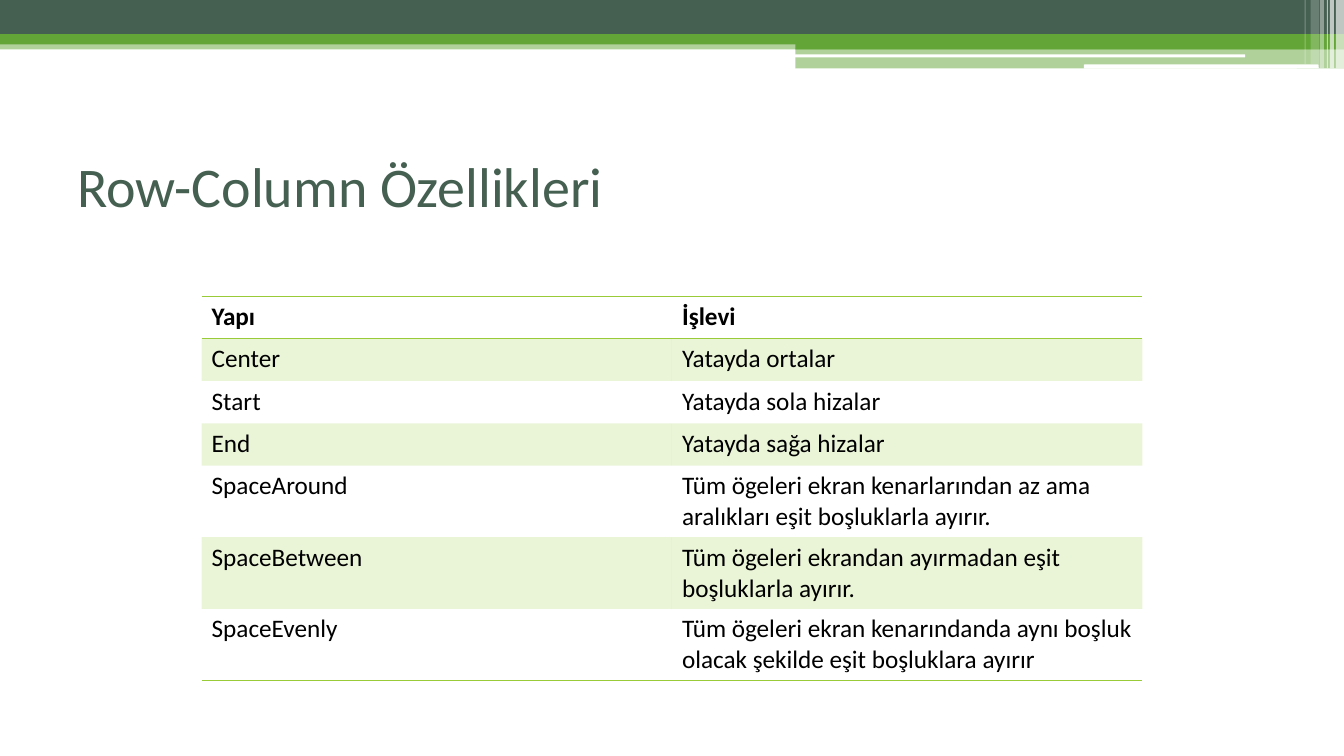
from lxml import etree
from pptx import Presentation
from pptx import util as u
from pptx.dml.color import RGBColor
from pptx.enum import shapes, text
from pptx.oxml import ns

WIDTH, HEIGHT = 13.33, 7.5
FONT = "Calibri"
COLORS = {"dark": "455F51", "green": "63A537", "lime": "99CB38",
          "white": "FFFFFF", "black": "000000"}
NO_STYLE = "{2D5ABB26-0587-4C30-8999-92F81FD0307C}"

# left, top, width, height, colour, opacity in percent
BANDS = [
    (0, 0.4, WIDTH, 0.09, "green", 50),
    (0, 0, WIDTH, 0.34, "dark", 100),
    (0, 0.34, WIDTH, 0.1, "green", 100),
    (7.89, 0.39, 5.44, 0.1, "green", 100),
    (7.89, 0.48, 5.44, 0.2, "green", 50),
]
SLOTS = [
    (7.88, 0.54, 4.47, 0.03, "white", 100),
    (10.75, 0.64, 2.33, 0.04, "white", 100),
]
# left, width, height, opacity in percent
STRIPES = [
    (13.25, 0.08, 0.68, 65), (13.19, 0.04, 0.68, 65), (13.16, 0.01, 0.68, 60),
    (13.09, 0.04, 0.68, 40), (13, 0.08, 0.64, 20), (12.94, 0.01, 0.64, 30),
]
ROWS = [
    ("Yapı", "İşlevi"),
    ("Center", "Yatayda ortalar"),
    ("Start", "Yatayda sola hizalar"),
    ("End", "Yatayda sağa hizalar"),
    ("SpaceAround", "Tüm ögeleri ekran kenarlarından az ama aralıkları eşit "
                    "boşluklarla ayırır."),
    ("SpaceBetween", "Tüm ögeleri ekrandan ayırmadan eşit boşluklarla ayırır."),
    ("SpaceEvenly", "Tüm ögeleri ekran kenarındanda aynı boşluk olacak şekilde "
                    "eşit boşluklara ayırır"),
]


def rgb(name):
    return RGBColor.from_string(COLORS[name])


def paint(fill, element, color, opacity):
    """Fill a shape or cell; its first RGB element then takes the opacity."""
    fill.solid()
    fill.fore_color.rgb = rgb(color)
    if opacity < 100:
        tint = element.find(".//" + ns.qn("a:srgbClr"))
        etree.SubElement(tint, ns.qn("a:alpha"), val=str(opacity * 1000))


def add_block(page, kind, left, top, width, height, color, opacity):
    block = page.shapes.add_shape(kind, *map(u.Inches, (left, top, width, height)))
    block.shadow.inherit = False
    block.line.fill.background()
    paint(block.fill, block.element, color, opacity)


def add_header(page):
    rect = shapes.MSO_SHAPE.RECTANGLE
    for band in BANDS:
        add_block(page, rect, *band)
    for slot in SLOTS:
        add_block(page, shapes.MSO_SHAPE.ROUNDED_RECTANGLE, *slot)
    for left, width, height, opacity in STRIPES:
        add_block(page, rect, left, 0, width, height, "white", opacity)


def add_span(para, words, size, color, bold=False):
    span = para.add_run()
    span.text = words
    span.font.name = FONT
    span.font.size = u.Pt(size)
    span.font.bold = bold
    span.font.color.rgb = rgb(color)


def set_title(page, words):
    box = page.shapes.title
    box.left, box.top = u.Inches(WIDTH * 0.05), u.Inches(HEIGHT / 6)
    box.width, box.height = u.Inches(WIDTH * 0.9), u.Inches(1.17)
    frame = box.text_frame
    frame.word_wrap = True
    frame.auto_size = text.MSO_AUTO_SIZE.NONE
    frame.vertical_anchor = text.MSO_ANCHOR.MIDDLE
    para = frame.paragraphs[0]
    para.alignment = text.PP_ALIGN.LEFT
    add_span(para, words, 40, "dark")


def add_rules(cell, sides):
    """Draw lime borders; lines must precede the fill in the cell properties."""
    props = cell._tc.get_or_add_tcPr()
    for place, side in enumerate(sides):
        line = etree.Element(ns.qn("a:ln" + side), w=str(u.Pt(1)))
        solid = etree.SubElement(line, ns.qn("a:solidFill"))
        etree.SubElement(solid, ns.qn("a:srgbClr"), val=COLORS["lime"])
        props.insert(place, line)


def add_property_table(page):
    frame = page.shapes.add_table(
        len(ROWS), 2, u.Inches(WIDTH * 0.15), u.Inches(2.94),
        u.Inches(WIDTH * 0.7), u.Inches(0.42 * len(ROWS)))
    table = frame.table
    frame.element.find(".//" + ns.qn("a:tableStyleId")).text = NO_STYLE
    last = len(ROWS) - 1
    for r, row in enumerate(ROWS):
        for c, words in enumerate(row):
            cell = table.cell(r, c)
            add_span(cell.text_frame.paragraphs[0], words, 18, "black", r == 0)
            if r % 2:
                paint(cell.fill, cell._tc.tcPr, "lime", 20)
            else:
                cell.fill.background()
            add_rules(cell, {0: "TB", last: "B"}.get(r, ""))


def main():
    deck = Presentation()
    deck.slide_width, deck.slide_height = u.Inches(WIDTH), u.Inches(HEIGHT)
    page = deck.slides.add_slide(deck.slide_layouts.get_by_name("Title Only"))
    add_header(page)
    set_title(page, "Row-Column Özellikleri")
    add_property_table(page)
    deck.save("out.pptx")


if __name__ == "__main__":
    main()
